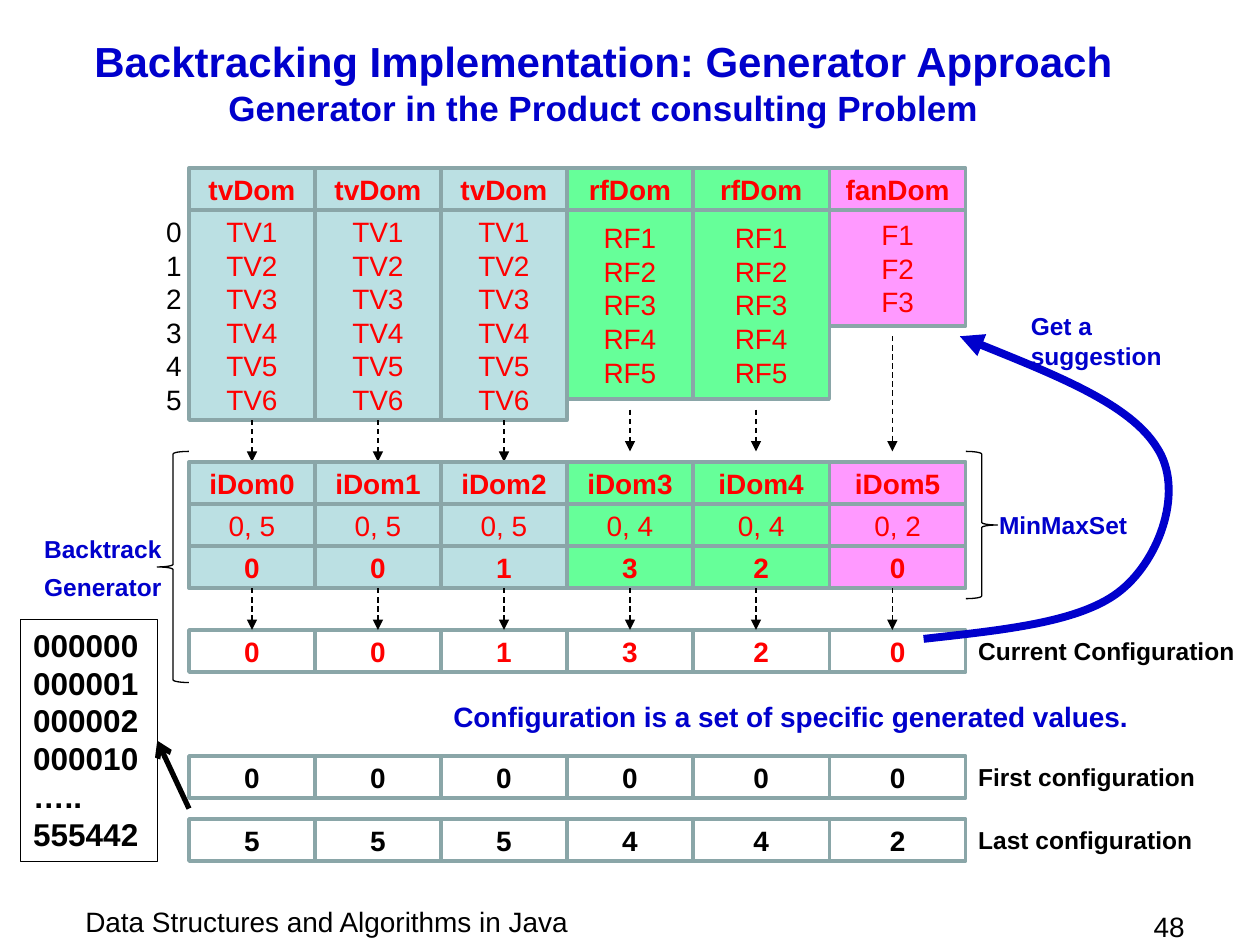
import copy
import itertools

import pptx
import pptx.dml.color
import pptx.enum.dml
import pptx.enum.shapes
import pptx.enum.text
import pptx.oxml
import pptx.oxml.ns
import pptx.util

Cm = pptx.util.Cm
Pt = pptx.util.Pt
Kind = pptx.enum.shapes.MSO_SHAPE
Align = pptx.enum.text.PP_ALIGN
Anchor = pptx.enum.text.MSO_ANCHOR
qn = pptx.oxml.ns.qn

COLORS = {
    "blue": "0000CC", "red": "FF0000", "black": "000000", "edge": "8AA6A8",
    "tv": "BBE0E3", "rf": "66FF99", "fan": "FF99FF",
}
WIDTHS = [2.54] * 4 + [2.75] * 2
LEFTS = list(itertools.accumulate(WIDTHS[:-1], initial=0))
TYPES = ["tv"] * 3 + ["rf"] * 2 + ["fan"]
COUNTS = {"tv": 6, "rf": 5, "fan": 3}
HEIGHTS = {"tv": 4.23, "rf": 3.81, "fan": 2.33}
ROW = 0.85
CHOICE = "001320"


def color(name):
    return pptx.dml.color.RGBColor.from_string(COLORS[name])


def write(shape, text, size=16, tint="black", bold=False,
          align=Align.LEFT, anchor=Anchor.TOP, gap=0):
    frame = shape.text_frame
    frame.word_wrap = True
    frame.vertical_anchor = anchor
    frame.text = text
    for i, para in enumerate(frame.paragraphs):
        para.alignment = align
        para.space_before = Pt(gap if i else 0)
        for run in para.runs:
            run.font.name = "Arial"
            run.font.size = Pt(size)
            run.font.bold = bold
            run.font.color.rgb = color(tint)


def label(slide, box, text, **form):
    shape = slide.shapes.add_textbox(*map(Cm, box))
    write(shape, text, **form)


def block(slide, kind, box, fill=None, line="black", width=0.75):
    shape = slide.shapes.add_shape(kind, *map(Cm, box))
    shape.shadow.inherit = False
    if fill:
        shape.fill.solid()
        shape.fill.fore_color.rgb = color(fill)
    else:
        shape.fill.background()
    shape.line.color.rgb = color(line)
    shape.line.width = Pt(width)
    return shape


def cell(slide, box, text, fill=None, tint="red", bold=True):
    shape = block(slide, Kind.RECTANGLE, box, fill, "edge", 2)
    write(shape, text, tint=tint, bold=bold,
          align=Align.CENTER, anchor=Anchor.MIDDLE)


def point(shape, head):
    line = shape.line._get_or_add_ln()
    line.append(pptx.oxml.parse_xml(
        f'<a:tailEnd {pptx.oxml.ns.nsdecls("a")} type="{head}"/>'))


def arrow(slide, start, end, width=0.75, head="triangle", dash=True):
    line = slide.shapes.add_connector(
        pptx.enum.shapes.MSO_CONNECTOR.STRAIGHT, *map(Cm, start + end))
    line.line.color.rgb = color("black")
    line.line.width = Pt(width)
    if dash:
        line.line.dash_style = pptx.enum.dml.MSO_LINE.DASH
    point(line, head)
    line._element.spPr.append(pptx.oxml.parse_xml(
        f'<a:effectLst {pptx.oxml.ns.nsdecls("a")}/>'))


def head(slide, box):
    title = slide.shapes.title
    title.left, title.top, title.width, title.height = map(Cm, box)
    write(title, "Backtracking Implementation: Generator Approach\v"
          "Generator in the Product consulting Problem", size=24, tint="blue",
          bold=True, align=Align.CENTER, anchor=Anchor.MIDDLE)
    title.text_frame.auto_size = pptx.enum.text.MSO_AUTO_SIZE.NONE
    para = title.text_frame.paragraphs[0]
    first, last = para.runs
    para._p.find(qn("a:br")).append(copy.deepcopy(first._r.rPr))
    last.font.size = Pt(20)


def row(slide, box, texts, fills=(None,) * 6, **form):
    x, y = box[:2]
    for left, width, text, fill in zip(LEFTS, WIDTHS, texts, fills):
        cell(slide, (x + left, y, width, ROW), text, fill, **form)


def domains(slide, box):
    x, y, w, h = box
    row(slide, box, [t + "Dom" for t in TYPES], TYPES)
    for left, width, kind in zip(LEFTS, WIDTHS, TYPES):
        items = "\n".join((kind[0] if kind == "fan" else kind).upper() + str(n)
                          for n in range(1, COUNTS[kind] + 1))
        cell(slide, (x + left, y + ROW, width, HEIGHTS[kind]), items, kind,
             bold=False)
        space = 0 if kind == "tv" else 0.21
        mid = x + left + 1.27
        arrow(slide, (mid, y + ROW + HEIGHTS[kind] + space),
              (mid, y + h - (0 if kind == "tv" else 0.21)))
    label(slide, (x - 0.84, y + ROW, 1.07, HEIGHTS["tv"]),
          "\n".join(map(str, range(6))), align=Align.CENTER,
          anchor=Anchor.MIDDLE)


def ranges(slide, box):
    x, y, w, h = box
    row(slide, box, [f"iDom{n}" for n in range(6)], TYPES)
    row(slide, (x, y + ROW), [f"0, {COUNTS[t] - 1}" for t in TYPES], TYPES,
        bold=False)
    row(slide, (x, y + 2 * ROW), CHOICE, TYPES)
    row(slide, (x, y + h - ROW), CHOICE)
    for left in LEFTS:
        mid = x + left + 1.27
        arrow(slide, (mid, y + 3 * ROW), (mid, y + h - ROW))
    block(slide, Kind.RIGHT_BRACE, (x + w, y - 0.21, 0.64, 2.97))
    block(slide, Kind.LEFT_BRACE, (x - 0.64, y - 0.21, 0.64, 4.66))
    label(slide, (x + w + 0.42, y + ROW, 3.6, 0.86), "MinMaxSet",
          size=14, tint="blue", bold=True)
    label(slide, (x + w, y + h - ROW, 5.92, ROW), "Current Configuration",
          size=14, bold=True)
    label(slide, (x - 3.17, y + 1.33, 2.97, 1.63), "Backtrack\nGenerator",
          size=14, tint="blue", bold=True, gap=5)


def limits(slide, box):
    x, y, w, h = box
    label(slide, (x + 5.08, y - 1.27, 14.6, 0.94),
          "Configuration is a set of specific generated values.",
          tint="blue", bold=True)
    for i, (name, texts) in enumerate([("First", "000000"),
                                       ("Last", "555442")]):
        top = y + i * (h - ROW)
        row(slide, (x, top), texts, tint="black")
        label(slide, (x + w, top, 4.88, 0.86), name + " configuration",
              size=14, bold=True)


def series(slide, box):
    x, y, w, h = box
    shape = block(slide, Kind.RECTANGLE, box)
    write(shape, "000000\n000001\n000002\n000010\n…..\n555442",
          size=18, bold=True)
    arrow(slide, (x + w + 0.64, y + 3.81), (x + w, y + h / 2),
          width=3, head="arrow", dash=False)


def advice(slide, box):
    x, y = box[:2]
    label(slide, (x + 1.91, y - 0.63, 3.6, 1.45), "Get a\nsuggestion",
          size=14, tint="blue", bold=True)
    dots = [(0, 6.1), (1.6, 5.92), (3.2, 5.77), (3.99, 5.11), (4.77, 4.47),
            (5.26, 3.08), (4.7, 2.24), (4.16, 1.37), (2.44, 0.69), (0.73, 0)]
    spots = [(Cm(x + a), Cm(y + b)) for a, b in dots]
    pen = slide.shapes.build_freeform(*spots[0])
    pen.add_line_segments(spots[1:], close=False)
    curve = pen.convert_to_shape()
    curve.shadow.inherit = False
    curve.fill.background()
    curve.line.color.rgb = color("blue")
    curve.line.width = Pt(4.5)
    point(curve, "triangle")
    steps = list(curve._element.iter(qn("a:lnTo")))
    for i in range(0, len(steps), 3):
        bend = steps[i]
        bend.addprevious(pptx.oxml.parse_xml(
            f'<a:cubicBezTo {pptx.oxml.ns.nsdecls("a")}/>'))
        group = bend.getprevious()
        for step in steps[i:i + 3]:
            group.append(step[0])
            step.getparent().remove(step)


def foot(slide, box):
    x, y, w, h = box
    label(slide, (x, y, 14.4, h), "Data Structures and Algorithms in Java")
    label(slide, (x + w - 2.54, y + 0.1, 2.54, 0.84), "48", align=Align.RIGHT)


def main():
    deck = pptx.Presentation()
    deck.slide_width, deck.slide_height = Cm(25.4), Cm(19.05)
    slide = deck.slides.add_slide(deck.slide_layouts[5])
    foot(slide, (1.47, 18.11, 22.66, 0.94))
    head(slide, (1.27, 0.76, 21.79, 1.78))
    domains(slide, (3.81, 3.39, 15.66, 5.92))
    ranges(slide, (3.81, 9.31, 15.66, 4.24))
    limits(slide, (3.81, 15.24, 15.66, 2.12))
    series(slide, (0.42, 12.49, 2.75, 4.88))
    advice(slide, (18.62, 6.78, 5.26, 6.1))
    deck.save("out.pptx")


if __name__ == "__main__":
    main()
